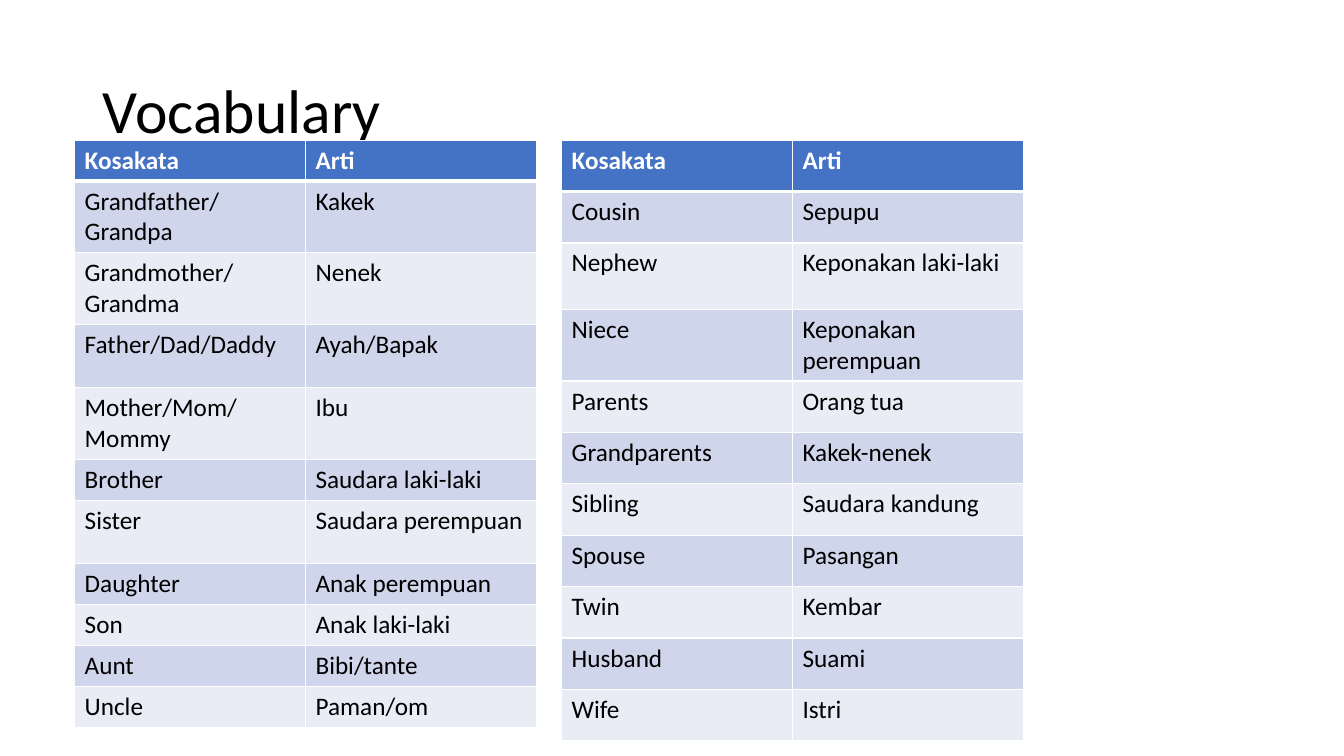
from dataclasses import dataclass

from lxml import etree
from pptx import Presentation
from pptx.dml.color import RGBColor
from pptx.enum import text
from pptx.oxml import ns
from pptx.util import Inches, Pt


@dataclass(frozen=True)
class Theme:
    font: str = "Calibri"
    title_size: int = 44
    table_size: int = 18
    black: str = "000000"
    white: str = "FFFFFF"
    header_fill: str = "4472C4"
    band_fills: tuple = ("CFD5EA", "E9EBF5")
    border: int = 1
    header_border: int = 3


class SlideBuilder:
    def __init__(self, slide, theme):
        self.slide = slide
        self.theme = theme

    def format_text(self, paragraph, size, color, bold=False):
        font = paragraph.runs[0].font
        values = {"name": self.theme.font, "size": Pt(size), "bold": bold}
        for name, value in values.items():
            setattr(font, name, value)
        font.color.rgb = RGBColor.from_string(color)

    def add_title(self, wording, left, top, width, height):
        title = self.slide.shapes.title
        position = {"left": left, "top": top, "width": width, "height": height}
        for name, value in position.items():
            setattr(title, name, Inches(value))
        frame = title.text_frame
        frame.text = wording
        frame_format = {
            "vertical_anchor": text.MSO_ANCHOR.MIDDLE,
            "auto_size": text.MSO_AUTO_SIZE.NONE,
            "word_wrap": True,
        }
        for name, value in frame_format.items():
            setattr(frame, name, value)
        paragraph = frame.paragraphs[0]
        paragraph.alignment = text.PP_ALIGN.LEFT
        paragraph.line_spacing = 0.9
        self.format_text(paragraph, self.theme.title_size, self.theme.black)

    def add_borders(self, cell, bottom, top):
        properties = cell._tc.get_or_add_tcPr()
        widths = {"lnL": self.theme.border, "lnR": self.theme.border,
                  "lnT": top, "lnB": bottom}
        for side, width in widths.items():
            line = etree.SubElement(properties, ns.qn(f"a:{side}"), w=str(Pt(width)))
            fill = etree.SubElement(line, ns.qn("a:solidFill"))
            etree.SubElement(fill, ns.qn("a:srgbClr"), val=self.theme.white)

    def add_vocabulary_table(self, words, left, top, column_width, row_heights):
        theme = self.theme
        rows = [("Kosakata", "Arti"), *words]
        table = self.slide.shapes.add_table(
            len(rows), 2, Inches(left), Inches(top),
            Inches(2 * column_width), Inches(sum(row_heights))).table
        for column in table.columns:
            column.width = Inches(column_width)
        for index, (row, height) in enumerate(zip(rows, row_heights)):
            table.rows[index].height = Inches(height)
            header = index == 0
            fill = theme.header_fill if header else theme.band_fills[(index - 1) % 2]
            bottom = theme.header_border if header else theme.border
            top_border = theme.header_border if index == 1 else theme.border
            for column, wording in enumerate(row):
                cell = table.cell(index, column)
                cell.text = wording
                self.add_borders(cell, bottom, top_border)
                cell.fill.solid()
                cell.fill.fore_color.rgb = RGBColor.from_string(fill)
                self.format_text(cell.text_frame.paragraphs[0], theme.table_size,
                                 theme.white if header else theme.black, header)


FAMILY = [
    ("Grandfather/Grandpa", "Kakek"),
    ("Grandmother/Grandma", "Nenek"),
    ("Father/Dad/Daddy", "Ayah/Bapak"),
    ("Mother/Mom/Mommy", "Ibu"),
    ("Brother", "Saudara laki-laki"),
    ("Sister", "Saudara perempuan"),
    ("Daughter", "Anak perempuan"),
    ("Son", "Anak laki-laki"),
    ("Aunt", "Bibi/tante"),
    ("Uncle", "Paman/om"),
]
RELATIVES = [
    ("Cousin", "Sepupu"),
    ("Nephew", "Keponakan laki-laki"),
    ("Niece", "Keponakan perempuan"),
    ("Parents", "Orang tua"),
    ("Grandparents", "Kakek-nenek"),
    ("Sibling", "Saudara kandung"),
    ("Spouse", "Pasangan"),
    ("Twin", "Kembar"),
    ("Husband", "Suami"),
    ("Wife", "Istri"),
]


def main():
    presentation = Presentation()
    presentation.slide_width = Inches(13.33)
    presentation.slide_height = Inches(7.5)
    slide = presentation.slides.add_slide(presentation.slide_layouts[5])
    builder = SlideBuilder(slide, Theme())

    # Title
    builder.add_title("Vocabulary", 0.92, 0.4, 11.5, 1.45)

    # Vocabulary tables, with taller rows for longer entries
    family_heights = [0.36] + [0.63] * 4 + [0.36, 0.63] + [0.36] * 4
    relatives_heights = [0.51] * 2 + [0.66] * 2 + [0.51] * 7
    builder.add_vocabulary_table(FAMILY, 0.74, 1.39, 2.29, family_heights)
    builder.add_vocabulary_table(RELATIVES, 5.57, 1.39, 2.29, relatives_heights)

    presentation.save("out.pptx")


if __name__ == "__main__":
    main()
